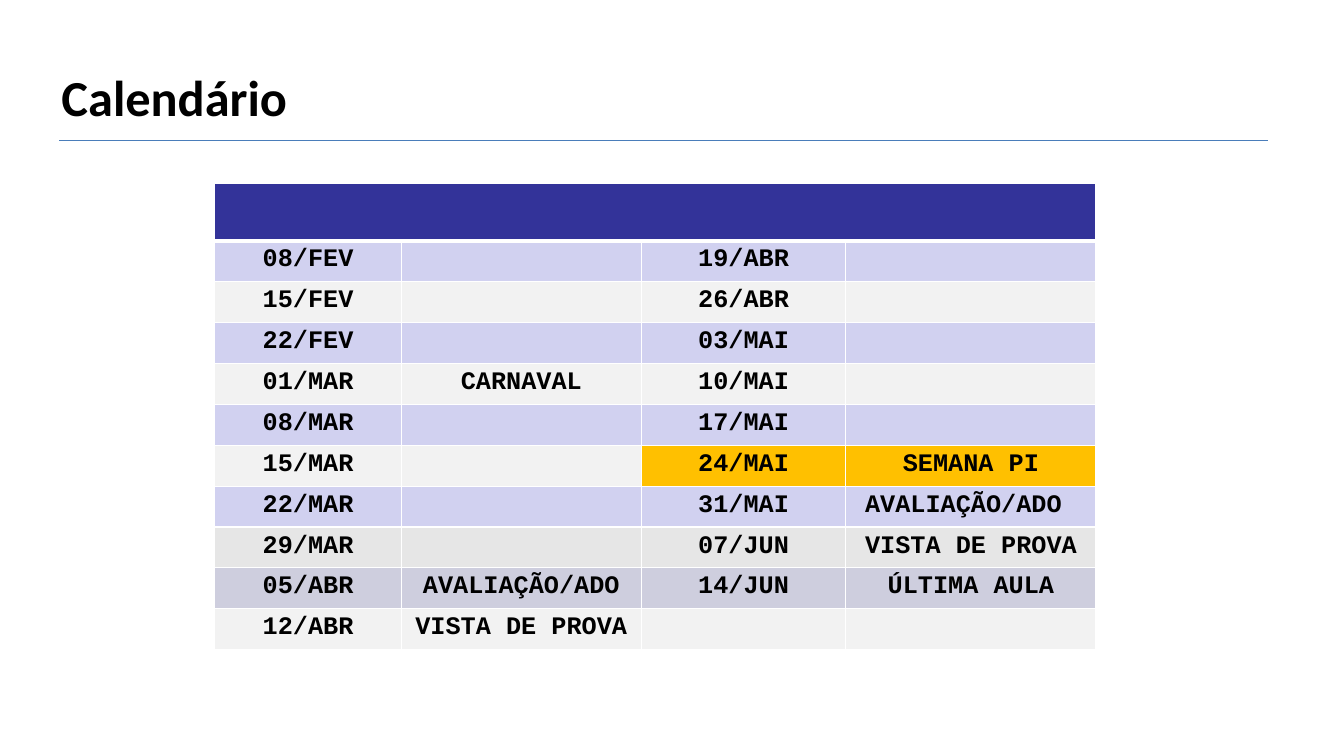
from lxml import etree
from pptx import Presentation
from pptx.dml.color import RGBColor
from pptx.enum.shapes import MSO_CONNECTOR
from pptx.enum.text import MSO_ANCHOR, PP_ALIGN
from pptx.oxml.ns import qn
from pptx.util import Inches, Pt

STRAIGHT = MSO_CONNECTOR.STRAIGHT
MIDDLE = MSO_ANCHOR.MIDDLE
LEFT, CENTER = PP_ALIGN.LEFT, PP_ALIGN.CENTER

BLACK = RGBColor(0x00, 0x00, 0x00)
WHITE = RGBColor(0xFF, 0xFF, 0xFF)
RULE_BLUE = RGBColor(0x4A, 0x7D, 0xBA)
NAVY = RGBColor(0x33, 0x33, 0x99)
LAVENDER = RGBColor(0xD1, 0xD1, 0xF0)
LIGHT_GRAY = RGBColor(0xF2, 0xF2, 0xF2)
MID_GRAY = RGBColor(0xE6, 0xE6, 0xE6)
DUSTY_LAVENDER = RGBColor(0xCE, 0xCE, 0xDE)
AMBER = RGBColor(0xFF, 0xC0, 0x00)

TITLE_FONT = {"name": "Calibri", "size": Pt(36), "bold": True}
CELL_FONT = {"name": "Courier New", "size": Pt(18), "bold": True}

COLUMN_WIDTHS = [1.85, 2.38, 2.03, 2.48]
TABLE_HEIGHT, HEADER_HEIGHT = 4.6, 0.57
CALENDAR = [
    ["08/FEV", "", "19/ABR", ""],
    ["15/FEV", "", "26/ABR", ""],
    ["22/FEV", "", "03/MAI", ""],
    ["01/MAR", "CARNAVAL", "10/MAI", ""],
    ["08/MAR", "", "17/MAI", ""],
    ["15/MAR", "", "24/MAI", "SEMANA PI"],
    ["22/MAR", "", "31/MAI", "AVALIAÇÃO/ADO "],
    ["29/MAR", "", "07/JUN", "VISTA DE PROVA"],
    ["05/ABR", "AVALIAÇÃO/ADO", "14/JUN", "ÚLTIMA AULA"],
    ["12/ABR", "VISTA DE PROVA", "", ""],
]
ROW_FILLS = {8: MID_GRAY, 9: DUSTY_LAVENDER}
CELL_FILLS = {(6, 2): AMBER, (6, 3): AMBER}


def format_text(paragraph, alignment, font_values):
    paragraph.alignment = alignment
    for name, value in font_values.items():
        setattr(paragraph.font, name, value)
    paragraph.font.color.rgb = BLACK


def style_cell(cell, fill_color, bottom_width):
    """Give a cell white borders and a solid fill."""
    properties = cell._tc.get_or_add_tcPr()
    for side, width in (("L", 1), ("R", 1), ("T", 1), ("B", bottom_width)):
        border = etree.SubElement(properties, qn(f"a:ln{side}"), w=str(Pt(width)))
        border_fill = etree.SubElement(border, qn("a:solidFill"))
        etree.SubElement(border_fill, qn("a:srgbClr"), val=str(WHITE))
    cell.fill.solid()
    cell.fill.fore_color.rgb = fill_color


presentation = Presentation()
presentation.slide_width = Inches(13.33)
presentation.slide_height = Inches(7.5)
slide = presentation.slides.add_slide(presentation.slide_layouts[5])

title = slide.shapes.title
title.left, title.top = Inches(0.51), Inches(0.6)
title.width, title.height = Inches(8.99), Inches(0.71)
title.text_frame.text = "Calendário"
title.text_frame.vertical_anchor = MIDDLE
format_text(title.text_frame.paragraphs[0], LEFT, TITLE_FONT)

title_rule = slide.shapes.add_connector(
    STRAIGHT, Inches(0.59), Inches(1.39), Inches(12.58), Inches(1.39))
title_rule.line.color.rgb = RULE_BLUE
title_rule.line.width = Pt(0.75)
etree.SubElement(title_rule._element.spPr, qn("a:effectLst"))

table = slide.shapes.add_table(
    len(CALENDAR) + 1, len(COLUMN_WIDTHS), Inches(2.13), Inches(1.82),
    Inches(sum(COLUMN_WIDTHS)), Inches(TABLE_HEIGHT)).table
for column, width in zip(table.columns, COLUMN_WIDTHS):
    column.width = Inches(width)
for row in table.rows:
    row.height = Inches((TABLE_HEIGHT - HEADER_HEIGHT) / len(CALENDAR))
table.rows[0].height = Inches(HEADER_HEIGHT)

table.cell(0, 0).merge(table.cell(0, len(COLUMN_WIDTHS) - 1))
for column_index in range(len(COLUMN_WIDTHS)):
    style_cell(table.cell(0, column_index), NAVY, 3)

for row_index, entries in enumerate(CALENDAR, start=1):
    band = LAVENDER if row_index % 2 else LIGHT_GRAY
    row_fill = ROW_FILLS.get(row_index, band)
    for column_index, entry in enumerate(entries):
        cell = table.cell(row_index, column_index)
        style_cell(cell, CELL_FILLS.get((row_index, column_index), row_fill), 1)
        if entry:
            cell.text = entry
            format_text(cell.text_frame.paragraphs[0], CENTER, CELL_FONT)

presentation.save("out.pptx")
